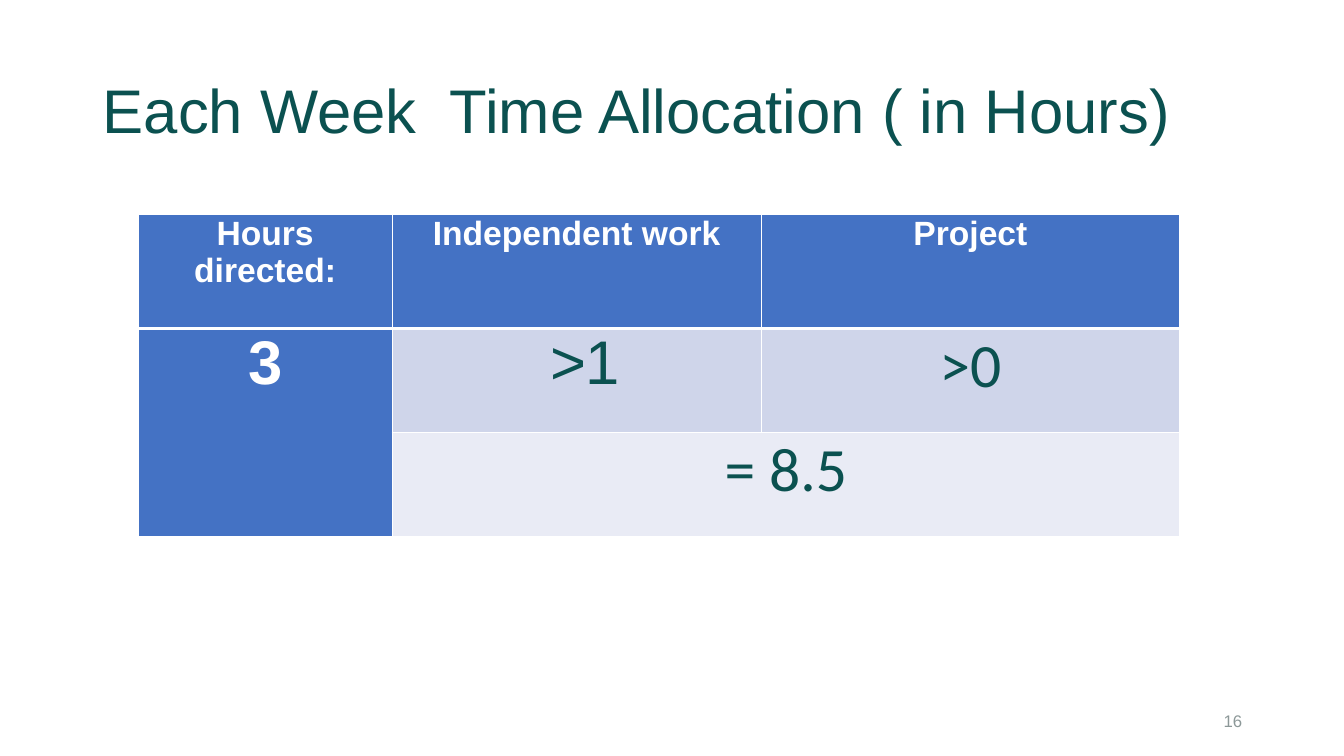
from dataclasses import dataclass

import pptx
import pptx.dml.color
import pptx.enum.text
import pptx.oxml
import pptx.oxml.ns
import pptx.util

PX = 9144  # EMU per px, 100 px to the inch
ALIGN = pptx.enum.text.PP_ALIGN
ANCHOR = pptx.enum.text.MSO_ANCHOR


@dataclass(frozen=True)
class Theme:
    ink: str = "0B5150"
    muted: str = "8C9898"
    white: str = "FFFFFF"
    header: str = "4472C4"
    band: str = "CFD5EA"
    pale: str = "E9EBF5"
    font: str = "Arial"
    number_font: str = "Calibri"
    large: int = 44
    heading: int = 24
    small: int = 12
    rule: int = 1
    heavy_rule: int = 3


THEME = Theme()


@dataclass(frozen=True)
class Box:
    left: int
    top: int
    width: int
    height: int

    def emu(self) -> list[int]:
        return [v * PX for v in (self.left, self.top, self.width, self.height)]


@dataclass(frozen=True)
class Entry:
    row: int
    col: int
    text: str
    fill: str
    color: str = THEME.white
    size: int = THEME.large
    font: str = THEME.font
    bold: bool = False
    rows: int = 1
    cols: int = 1


TITLE = Box(92, 40, 1150, 145)
PAGE_NUMBER = Box(942, 695, 300, 40)
COL_WIDTHS = (252, 366, 415)
ROW_HEIGHTS = (113, 103, 103)
TABLE = Box(137, 213, sum(COL_WIDTHS), sum(ROW_HEIGHTS))
HEADINGS = ("Hours directed:", "Independent work", "Project")

ENTRIES = [
    *(Entry(0, col, text, THEME.header, size=THEME.heading, bold=True)
      for col, text in enumerate(HEADINGS)),
    Entry(1, 0, "3", THEME.header, bold=True, rows=2),
    Entry(1, 1, " >1", THEME.band, THEME.ink),
    Entry(1, 2, ">0", THEME.band, THEME.ink, font=THEME.number_font),
    Entry(2, 1, "= 8.5", THEME.pale, THEME.ink, font=THEME.number_font, cols=2),
]


def rgb(color: str) -> pptx.dml.color.RGBColor:
    return pptx.dml.color.RGBColor.from_string(color)


def write(tf, text: str, size: int, color: str, align: ALIGN,
          font: str = THEME.font, bold: bool = False) -> None:
    tf.text = text
    p = tf.paragraphs[0]
    p.alignment = align
    p.font.name = font
    p.font.size = pptx.util.Pt(size)
    p.font.bold = bold
    p.font.color.rgb = rgb(color)


def add_borders(cell, row: int) -> None:
    """Draw white rules, heavy between the heading row and the body."""
    top = THEME.heavy_rule if row == 1 else THEME.rule
    bottom = THEME.heavy_rule if row == 0 else THEME.rule
    sides = {"lnL": THEME.rule, "lnR": THEME.rule, "lnT": top, "lnB": bottom}
    for side, width in sides.items():
        cell._tc.get_or_add_tcPr().append(pptx.oxml.parse_xml(
            f'<a:{side} {pptx.oxml.ns.nsdecls("a")} w="{pptx.util.Pt(width)}">'
            f'<a:solidFill><a:srgbClr val="{THEME.white}"/></a:solidFill></a:{side}>'))


def add_title(s) -> None:
    sp = s.shapes.title
    sp.left, sp.top, sp.width, sp.height = TITLE.emu()
    tf = sp.text_frame
    write(tf, "Each Week  Time Allocation ( in Hours)", THEME.large, THEME.ink, ALIGN.LEFT)
    tf.paragraphs[0].line_spacing = 0.9
    tf.vertical_anchor = ANCHOR.MIDDLE
    tf.auto_size = pptx.enum.text.MSO_AUTO_SIZE.NONE


def add_page_number(s) -> None:
    tf = s.shapes.add_textbox(*PAGE_NUMBER.emu()).text_frame
    tf.word_wrap = True
    tf.vertical_anchor = ANCHOR.MIDDLE
    write(tf, "16", THEME.small, THEME.muted, ALIGN.RIGHT)


def add_hours_table(s) -> None:
    table = s.shapes.add_table(len(ROW_HEIGHTS), len(COL_WIDTHS), *TABLE.emu()).table
    for column, width in zip(table.columns, COL_WIDTHS):
        column.width = width * PX
    for row, height in zip(table.rows, ROW_HEIGHTS):
        row.height = height * PX
    for entry in ENTRIES:
        for row in range(entry.row, entry.row + entry.rows):
            for col in range(entry.col, entry.col + entry.cols):
                cell = table.cell(row, col)
                add_borders(cell, row)
                cell.fill.solid()
                cell.fill.fore_color.rgb = rgb(entry.fill)
        cell = table.cell(entry.row, entry.col)
        if entry.rows * entry.cols > 1:
            cell.merge(table.cell(entry.row + entry.rows - 1, entry.col + entry.cols - 1))
        cell.margin_left = cell.margin_right = 7 * PX
        cell.margin_top = cell.margin_bottom = 0
        cell.vertical_anchor = ANCHOR.TOP
        write(cell.text_frame, entry.text, entry.size, entry.color, ALIGN.CENTER,
              entry.font, entry.bold)


def main() -> None:
    prs = pptx.Presentation()
    prs.slide_width, prs.slide_height = 1333 * PX, 750 * PX
    s = prs.slides.add_slide(prs.slide_layouts.get_by_name("Title Only"))
    add_title(s)
    add_page_number(s)
    add_hours_table(s)
    prs.save("out.pptx")


if __name__ == "__main__":
    main()
